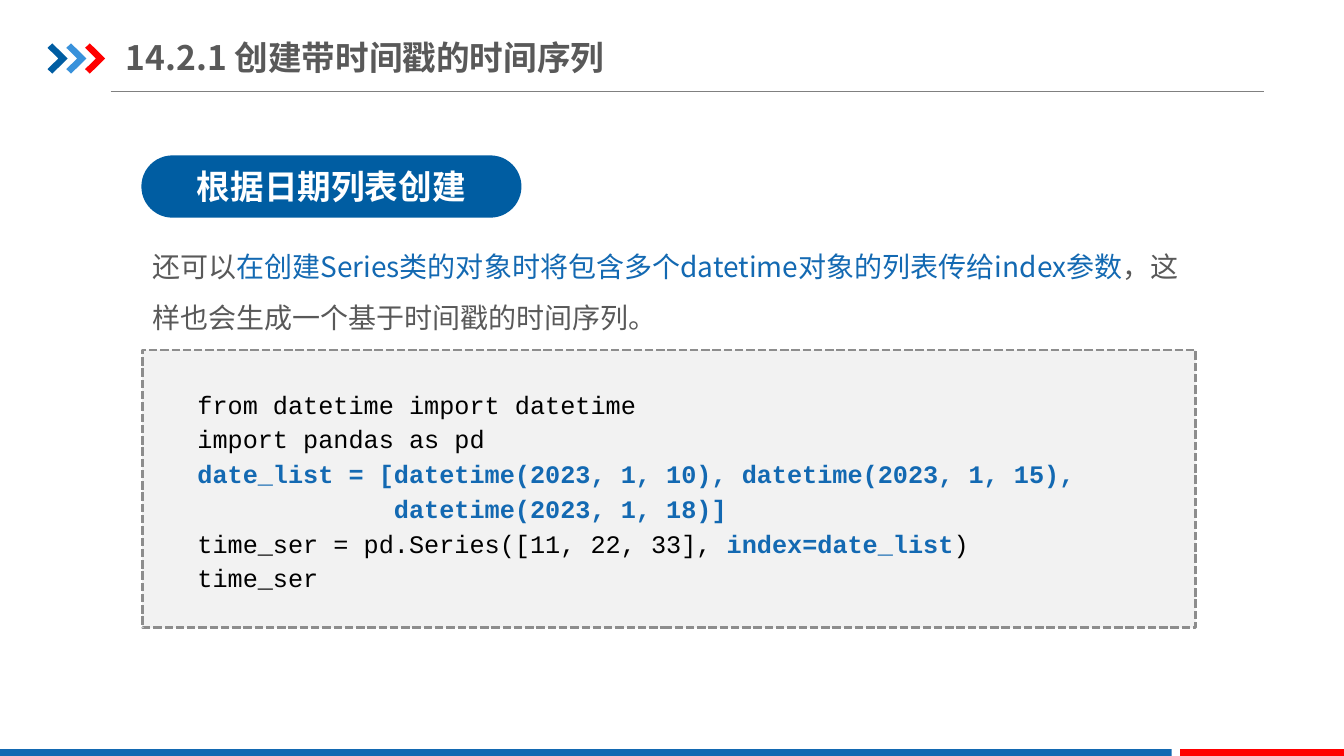
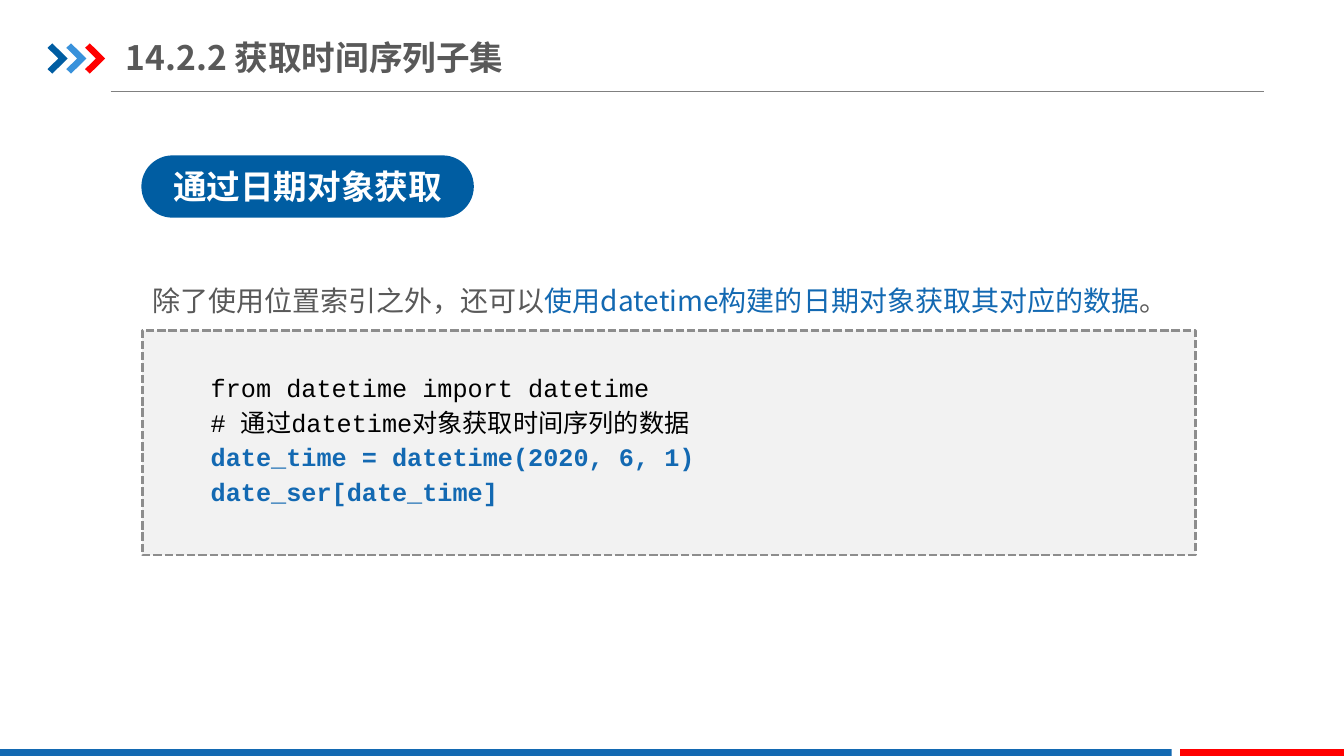
from lxml.etree import SubElement
from pptx import Presentation
from pptx.dml.color import RGBColor as RGB
from pptx.enum.dml import MSO_LINE as Dash
from pptx.enum.shapes import MSO_CONNECTOR as Conn, MSO_SHAPE as Kind
from pptx.enum.text import MSO_ANCHOR as Anchor, MSO_AUTO_SIZE as Fit, PP_ALIGN as Align
from pptx.oxml.ns import qn
from pptx.util import Pt

NAVY = RGB(0x00, 0x5D, 0xA2)
BLUE = RGB(0x13, 0x69, 0xB2)
SKY = RGB(0x39, 0x92, 0xDB)
RED = RGB(0xFF, 0x00, 0x00)
GREY = RGB(0x59, 0x59, 0x59)
RULE = RGB(0x80, 0x80, 0x80)
EDGE = RGB(0x8D, 0x8D, 0x8D)
PALE = RGB(0xF2, 0xF2, 0xF2)
BLACK = RGB(0, 0, 0)
WHITE = RGB(255, 255, 255)

SANS, MONO = "Noto Sans CJK SC", "Courier New"
HEAD = dict(name=SANS, size=Pt(24), bold=True)
BODY = dict(name=SANS, size=Pt(20), bold=False)
CODE = dict(name=MONO, size=Pt(18), bold=False)
KEY = dict(CODE, bold=True)

LEFT, WIDE = 101.5, 752.5
ARROW = [(0, 3.2), (3.4, 0), (14.4, 10.8), (3.4, 21.6), (0, 18.4), (7.7, 10.8)]


class Deck:
    def __init__(self):
        self.prs = Presentation()
        self.prs.slide_width, self.prs.slide_height = Pt(960), Pt(540)

    def page(self, title, width):
        self.slide = self.prs.slides.add_slide(self.prs.slide_layouts[5])
        self.shapes = self.slide.shapes
        self.rule()
        self.arrows()
        self.block(Kind.RECTANGLE, 0, 535, 837, 6.5, BLUE)
        self.block(Kind.RECTANGLE, 843, 535, 117, 6.5, RED)
        box = self.shapes.title
        box.left, box.top, box.width, box.height = map(Pt, (90, 21, width, 39.5))
        frame = box.text_frame
        look = dict(auto_size=Fit.NONE, vertical_anchor=Anchor.MIDDLE, word_wrap=True,
                    margin_left=0, margin_right=0, margin_top=Pt(5), margin_bottom=Pt(5))
        for key, val in look.items():
            setattr(frame, key, val)
        self.put(frame, [[(title, GREY, HEAD)]], alignment=Align.LEFT)

    def rule(self):
        line = self.shapes.add_connector(Conn.STRAIGHT, Pt(79), Pt(65.5), Pt(903), Pt(65.5))
        line.line.color.rgb, line.line.width = RULE, Pt(0.75)
        SubElement(line._element.spPr, qn("a:effectLst"))

    def arrows(self):
        group = self.shapes.add_group_shape()
        for i, color in enumerate((NAVY, SKY, RED)):
            first, *rest = [(Pt(34 + 13.4 * i + x), Pt(31 + y)) for x, y in ARROW]
            arrow = group.shapes.build_freeform(*first)
            arrow.add_line_segments(rest, close=True)
            self.paint(arrow.convert_to_shape(), color)

    def paint(self, shape, color):
        shape.shadow.inherit = False
        shape.fill.solid()
        shape.fill.fore_color.rgb = color
        shape.line.fill.background()

    def block(self, kind, x, y, w, h, color):
        shape = self.shapes.add_shape(kind, Pt(x), Pt(y), Pt(w), Pt(h))
        self.paint(shape, color)
        return shape

    def put(self, frame, rows, **look):
        """Fill a frame with rows of (text, colour, font) runs."""
        for i, row in enumerate(rows):
            para = frame.add_paragraph() if i else frame.paragraphs[0]
            for key, val in look.items():
                setattr(para, key, val)
            for text, color, style in row:
                run = para.add_run()
                run.text = text
                for key, val in style.items():
                    setattr(run.font, key, val)
                run.font.color.rgb = color
                SubElement(run._r.get_or_add_rPr(), qn("a:ea")).set("typeface", SANS)

    def pill(self, text, width):
        shape = self.block(Kind.ROUNDED_RECTANGLE, LEFT - 0.5, 111, width, 44.5, NAVY)
        shape.adjustments[0] = 0.5
        shape.text_frame.vertical_anchor = Anchor.MIDDLE
        self.put(shape.text_frame, [[(text, WHITE, HEAD)]], alignment=Align.CENTER)

    def text(self, x, y, w, h, rows, space):
        frame = self.shapes.add_textbox(Pt(x), Pt(y), Pt(w), Pt(h)).text_frame
        frame.word_wrap = True
        self.put(frame, rows, line_spacing=space)
        return frame

    def intro(self, y, h, start, key, end):
        row = [(start, GREY, BODY), (key, BLUE, BODY), (end, GREY, BODY)]
        self.text(LEFT, y, WIDE, h, [row], 1.5)

    def panel(self, y, h):
        line = self.block(Kind.RECTANGLE, LEFT, y, WIDE, h, PALE).line
        line.color.rgb, line.width, line.dash_style = EDGE, Pt(2), Dash.SQUARE_DOT

    def code(self, x, y, w, h, rows):
        """Add code; each row lists its runs, as (text, is key)."""
        runs = [[(t, BLUE, KEY) if key else (t, BLACK, CODE) for t, key in row] for row in rows]
        self.text(x, y, w, h, runs, 1.15).margin_left = Pt(28)


def main():
    deck = Deck()

    deck.page("14.2.1 创建带时间戳的时间序列", 367)
    deck.pill("根据日期列表创建", 271.5)
    deck.intro(163, 80, "还可以", "在创建Series类的对象时将包含多个datetime对象的列表传给index参数",
               "，这样也会生成一个基于时间戳的时间序列。")
    deck.panel(250, 198.5)
    deck.code(113, 271, 730, 157.5, [
        [("from datetime import datetime", False)],
        [("import pandas as pd", False)],
        [("date_list = [datetime(2023, 1, 10), datetime(2023, 1, 15),", True)],
        [("             datetime(2023, 1, 18)]", True)],
        [("time_ser = pd.Series([11, 22, 33], ", False), ("index=date_list", True), (")", False)],
        [("time_ser", False)],
    ])

    deck.page("14.2.2 获取时间序列子集", 327.5)
    deck.pill("通过日期对象获取", 237.5)
    deck.intro(187, 44, "除了使用位置索引之外，还可以", "使用datetime构建的日期对象获取其对应的数据", "。")
    deck.panel(236, 160.5)
    deck.code(122.5, 259, 645, 106.5, [
        [("from datetime import datetime", False)],
        [("# 通过datetime对象获取时间序列的数据", False)],
        [("date_time = datetime(2020, 6, 1)", True)],
        [("date_ser[date_time]", True)],
    ])

    deck.prs.save("out.pptx")


if __name__ == "__main__":
    main()
